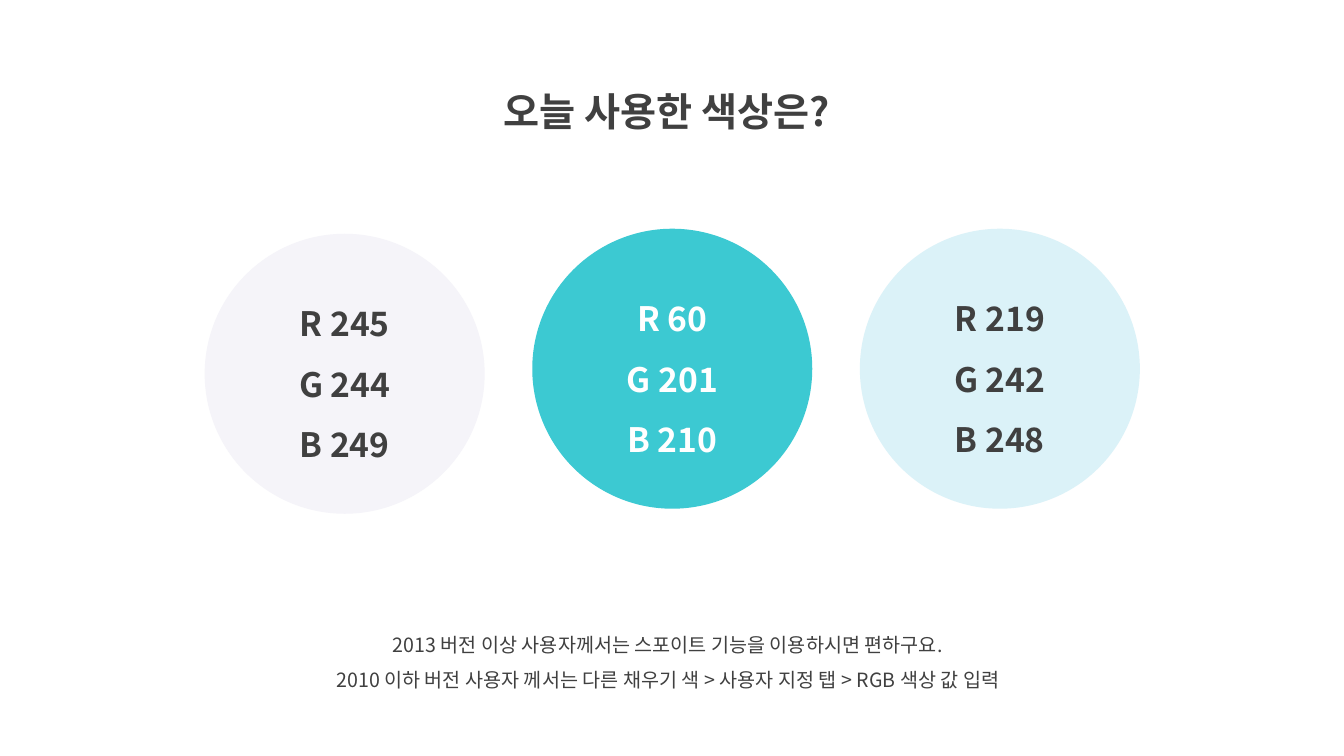
"""Build the slide that lists the three colours used today."""
from dataclasses import dataclass

import pptx
import pptx.dml.color
import pptx.enum.shapes
import pptx.enum.text
import pptx.oxml.ns
import pptx.util
from lxml import etree

Pt = pptx.util.Pt
RGBColor = pptx.dml.color.RGBColor


@dataclass(frozen=True)
class Theme:
    font: str = "Noto Sans CJK KR"
    dark: RGBColor = RGBColor(64, 64, 64)
    white: RGBColor = RGBColor(255, 255, 255)
    lavender: RGBColor = RGBColor(245, 244, 249)
    turquoise: RGBColor = RGBColor(60, 201, 210)
    pale_blue: RGBColor = RGBColor(219, 242, 248)
    title_size: int = 28
    circle_size: int = 24
    note_size: int = 14
    line_spacing: float = 1.5


theme = Theme()


def write_lines(shape, lines, size, color, bold):
    text_frame = shape.text_frame
    text_frame.word_wrap = True
    text_frame.text = "\n".join(lines)
    for paragraph in text_frame.paragraphs:
        paragraph.alignment = pptx.enum.text.PP_ALIGN.CENTER
        paragraph.line_spacing = theme.line_spacing
        for run in paragraph.runs:
            run.font.size = Pt(size)
            run.font.bold = bold
            run.font.color.rgb = color
            run.font.name = theme.font
            east_asian = etree.SubElement(run._r.get_or_add_rPr(), pptx.oxml.ns.qn("a:ea"))
            east_asian.set("typeface", theme.font)


presentation = pptx.Presentation()
presentation.slide_width = Pt(960)
presentation.slide_height = Pt(540)
slide = presentation.slides.add_slide(presentation.slide_layouts[6])

title_lines = ["오늘 사용한 색상은?"]
note_lines = [
    "2013 버전 이상 사용자께서는 스포이트 기능을 이용하시면 편하구요.",
    "2010 이하 버전 사용자 께서는 다른 채우기 색 > 사용자 지정 탭 > RGB 색상 값 입력",
]
text_boxes = [
    (title_lines, 309.6, 41.8, 333.4, 51.8, theme.title_size, True),
    (note_lines, 189.4, 439.9, 575.3, 58.3, theme.note_size, False),
]
for lines, left, top, width, height, size, bold in text_boxes:
    text_box = slide.shapes.add_textbox(Pt(left), Pt(top), Pt(width), Pt(height))
    write_lines(text_box, lines, size, theme.dark, bold)
    text_box.text_frame.auto_size = pptx.enum.text.MSO_AUTO_SIZE.SHAPE_TO_FIT_TEXT

diameter = 200
first_left = 146.2
pitch = 234
circles = [
    (theme.lavender, theme.dark, 167),
    (theme.turquoise, theme.white, 163.4),
    (theme.pale_blue, theme.dark, 163.4),
]
for index, (fill_color, text_color, top) in enumerate(circles):
    circle = slide.shapes.add_shape(
        pptx.enum.shapes.MSO_SHAPE.OVAL,
        Pt(first_left + index * pitch), Pt(top), Pt(diameter), Pt(diameter),
    )
    circle.shadow.inherit = False
    circle.fill.solid()
    circle.fill.fore_color.rgb = fill_color
    circle.line.fill.background()
    circle.text_frame.vertical_anchor = pptx.enum.text.MSO_ANCHOR.MIDDLE
    channel_lines = [f"{channel} {value}" for channel, value in zip("RGB", fill_color)]
    write_lines(circle, channel_lines, theme.circle_size, text_color, True)

presentation.save("out.pptx")
